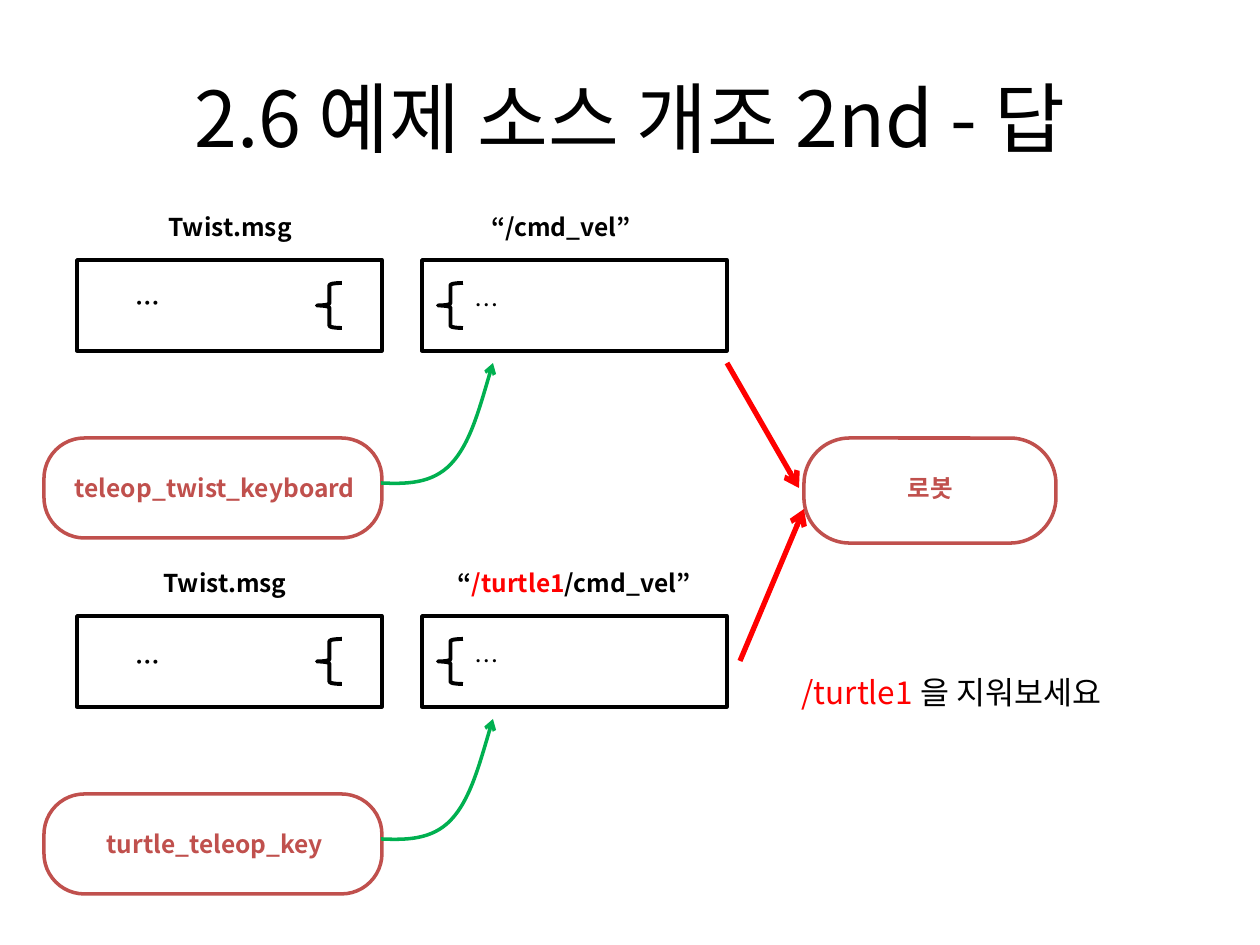
"""Build the slide on renaming the topic of the teleop example."""
from lxml import etree
from pptx import Presentation
from pptx.dml.color import RGBColor
from pptx.enum.shapes import MSO_CONNECTOR, MSO_SHAPE
from pptx.enum.text import MSO_ANCHOR, MSO_AUTO_SIZE, PP_ALIGN
from pptx.oxml.ns import qn
from pptx.util import Pt

PX = 914400 / 126
FONT = "Noto Sans CJK KR"
BLACK = RGBColor(0x00, 0x00, 0x00)
RED = RGBColor(0xFF, 0x00, 0x00)
GREEN = RGBColor(0x00, 0xB0, 0x50)
BRICK = RGBColor(0xC0, 0x50, 0x4D)
RECTANGLE, ROUNDED, BRACE = MSO_SHAPE.RECTANGLE, MSO_SHAPE.ROUNDED_RECTANGLE, MSO_SHAPE.LEFT_BRACE
STRAIGHT = MSO_CONNECTOR.STRAIGHT
LEFT, CENTER = PP_ALIGN.LEFT, PP_ALIGN.CENTER
TOP, MIDDLE = MSO_ANCHOR.TOP, MSO_ANCHOR.MIDDLE
GROW = MSO_AUTO_SIZE.SHAPE_TO_FIT_TEXT

TITLE = "2.6 예제 소스 개조 2nd - 답"
HINT = [("/turtle1 ", RED), ("을 지워보세요", BLACK)]
ROBOT = "로봇"
MESSAGE = "Twist.msg"
DOTS = "…"
FLOWS = [
    {"node": "teleop_twist_keyboard", "topic": [("“/cmd_vel”", BLACK)],
     "topic_left": 432, "message_width": 286, "dots_top": 277},
    {"node": "turtle_teleop_key",
     "topic": [("“", BLACK), ("/turtle1", RED), ("/cmd_vel”", BLACK)],
     "topic_left": 445, "message_width": 276, "dots_top": 280},
]
FLOW_PITCH = 356
BOX_LEFTS = (77, 422)
BRACE_LEFTS = (317, 438)
CURVE = [(381, 483), (406, 484), (432, 484), (451, 464), (470, 444), (481, 403), (493, 363)]
ROBOT_ARROWS = [((727, 363), (799, 488)), ((740, 661), (804, 509))]


def emu(*lengths):
    return [round(length * PX) for length in lengths]


def add_text(slide, content, box, size=14, color=BLACK, bold=False, align=CENTER,
             anchor=MIDDLE, wrap=True, fit=None):
    frame = slide.shapes.add_textbox(*emu(*box)).text_frame
    frame.word_wrap = wrap
    frame.vertical_anchor = anchor
    if fit is not None:
        frame.auto_size = fit
    paragraph = frame.paragraphs[0]
    paragraph.alignment = align
    for words, ink in [(content, color)] if isinstance(content, str) else content:
        run = paragraph.add_run()
        run.text = words
        run.font.size = Pt(size)
        run.font.bold = bold
        run.font.color.rgb = ink
        run.font.name = FONT
        etree.SubElement(run.font._element, qn("a:ea"), typeface=FONT)


def add_outline(slide, kind, box, color=BLACK, width=2, corner=None):
    outline = slide.shapes.add_shape(kind, *emu(*box))
    if corner is not None:
        outline.adjustments[0] = corner
    outline.shadow.inherit = False
    outline.fill.background()
    outline.line.color.rgb = color
    outline.line.width = Pt(width)


def style_arrow(arrow, color, width):
    arrow.line.color.rgb = color
    arrow.line.width = Pt(width)
    properties = arrow._element.spPr
    etree.SubElement(properties.find(qn("a:ln")), qn("a:tailEnd"), type="arrow")
    if properties.find(qn("a:effectLst")) is None:
        etree.SubElement(properties, qn("a:effectLst"))


def add_curve(slide, points):
    start, *rest = [emu(*point) for point in points]
    builder = slide.shapes.build_freeform(*start)
    curve = builder.add_line_segments(rest, close=False).convert_to_shape()
    path = curve._element.spPr.find(".//" + qn("a:path"))
    segments = path.findall(qn("a:lnTo"))
    for first in range(0, len(segments), 3):
        bezier = etree.SubElement(path, qn("a:cubicBezTo"))
        for segment in segments[first:first + 3]:
            bezier.append(segment[0])
            path.remove(segment)
    curve.fill.background()
    curve.shadow.inherit = False
    style_arrow(curve, GREEN, 2)


def add_flow(slide, flow, shift):
    add_outline(slide, ROUNDED, (44, 438 + shift, 338, 100), BRICK, corner=0.405)
    add_text(slide, flow["node"], (47, 438 + shift, 336, 100), color=BRICK, bold=True)
    for left in BOX_LEFTS:
        add_outline(slide, RECTANGLE, (left, 260 + shift, 305, 91))
    for left in BRACE_LEFTS:
        add_outline(slide, BRACE, (left, 283 + shift, 25, 45), width=2.25)
    add_text(slide, MESSAGE, (87, 215 + shift, flow["message_width"], 24), bold=True)
    add_text(slide, flow["topic"], (flow["topic_left"], 215 + shift, 258, 24), bold=True)
    add_text(slide, DOTS, (123, flow["dots_top"] + shift, 265, 52), bold=True, align=LEFT)
    add_text(slide, DOTS, (462, 284 + shift, 44, 43), align=LEFT, anchor=TOP,
             wrap=False, fit=GROW)
    add_curve(slide, [(x, y + shift) for x, y in CURVE])


def main():
    deck = Presentation()
    deck.slide_width, deck.slide_height = emu(1260, 945)
    slide = deck.slides.add_slide(deck.slide_layouts[6])
    add_text(slide, TITLE, (63, 38, 1134, 157), size=44)
    for index, flow in enumerate(FLOWS):
        add_flow(slide, flow, index * FLOW_PITCH)
    add_outline(slide, ROUNDED, (804, 438, 252, 105), BRICK, corner=0.435)
    add_text(slide, ROBOT, (799, 438, 263, 100), color=BRICK, bold=True)
    add_text(slide, HINT, (789, 667, 456, 50), size=18, align=LEFT, anchor=TOP, fit=GROW)
    for start, end in ROBOT_ARROWS:
        arrow = slide.shapes.add_connector(STRAIGHT, *emu(*start, *end))
        style_arrow(arrow, RED, 3)
    deck.save("out.pptx")


if __name__ == "__main__":
    main()
